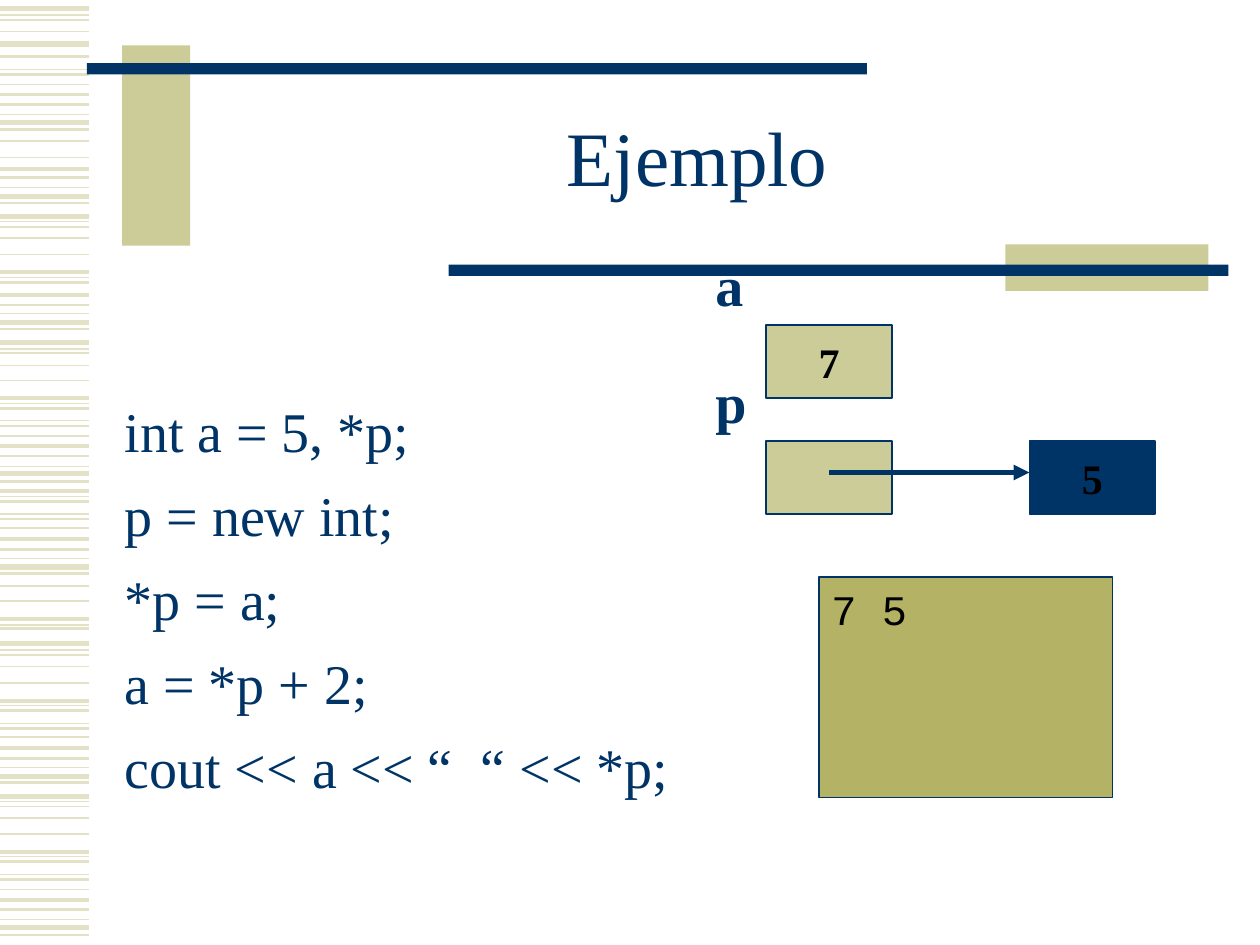
from pptx import Presentation, util as u
from pptx.dml.color import RGBColor
from pptx.enum import shapes, text as t
from pptx.oxml.ns import qn
from lxml import etree

NAVY, SAND, OLIVE, STRIPE, BLACK = "003366", "CCCC99", "B4B264", "E3E2C7", "000000"
SERIF, MONO = "Times New Roman", "Courier New"

STRIPES = {
    0.75: [0.12, 0.55, 0.91, 1.49, 1.76, 2.2, 2.49, 2.77, 3.2, 3.34, 3.7, 3.94, 4.08,
           4.43, 4.96, 5.16, 5.6, 5.74, 6.09, 6.36, 6.8, 6.94, 7.3],
    1: [0.16, 0.25, 0.67, 1.12, 1.25, 1.8, 1.89, 2.02, 2.8, 2.9, 3.02, 3.46, 4.19,
        4.65, 4.77, 5.2, 5.29, 5.42, 5.85, 6.4, 6.49, 6.62, 7.06],
    1.5: [0.45, 0.59, 0.83, 1.03, 1.41, 1.61, 2.24, 2.42, 2.61, 3.24, 3.38, 3.62, 3.82,
          3.98, 4.12, 4.36, 4.55, 4.99, 5.64, 5.78, 6.02, 6.21, 6.84, 6.98, 7.22, 7.42],
    2.25: [0.75, 1.34, 2.16, 2.34, 3.16, 3.54, 3.9, 4.28, 4.91, 5.56, 5.94, 6.76, 7.14],
    3: [0.07, 0.35, 0.97, 1.56, 1.72, 2.56, 2.72, 3.76, 4.5, 5.11, 6.16, 6.32, 7.36],
}
CODE = ["int a = 5, *p;", "p = new int;", "*p = a;", "a = *p + 2;",
        "cout << a << “  “ << *p;"]


def color(value):
    return RGBColor.from_string(value)


def add_rect(s, x, y, w, h, fill, line=None):
    sp = s.shapes.add_shape(shapes.MSO_SHAPE.RECTANGLE, *map(u.Inches, (x, y, w, h)))
    sp.shadow.inherit = False
    sp.fill.solid()
    sp.fill.fore_color.rgb = color(fill)
    if line:
        sp.line.color.rgb = color(line)
        sp.line.width = u.Pt(1)
    else:
        sp.line.fill.background()
    return sp


def add_line(s, x1, y1, x2, y2, line, width, arrow=False):
    c = s.shapes.add_connector(shapes.MSO_CONNECTOR.STRAIGHT,
                               *map(u.Inches, (x1, y1, x2, y2)))
    c.line.color.rgb = color(line)
    c.line.width = u.Pt(width)
    if arrow:
        etree.SubElement(c.line._get_or_add_ln(), qn("a:tailEnd"), type="triangle")
    etree.SubElement(c._element.spPr, qn("a:effectLst"))


def write(sp, lines, size=32, font=SERIF, fill=NAVY, bold=False, wrap=False,
          align=t.PP_ALIGN.LEFT, anchor=t.MSO_ANCHOR.TOP, spacing=None, before=0):
    tf = sp.text_frame
    tf.word_wrap = wrap
    tf.vertical_anchor = anchor
    for i, line in enumerate(lines):
        p = tf.paragraphs[0] if i == 0 else tf.add_paragraph()
        p.alignment = align
        if spacing:
            p.line_spacing = spacing
        if i and before:
            p.space_before = u.Pt(before)
        r = p.add_run()
        r.text = line
        r.font.name = font
        r.font.size = u.Pt(size)
        r.font.bold = bold
        r.font.color.rgb = color(fill)


def add_text(s, x, y, w, h, lines, **fmt):
    write(s.shapes.add_textbox(*map(u.Inches, (x, y, w, h))), lines, **fmt)


def stripes(s, x, y, w):
    for width, tops in STRIPES.items():
        for top in tops:
            add_line(s, x, y + top, x + w, y + top, STRIPE, width)


def header(s, x, y, w, h):
    bar_w, bar_h = 6.19, 0.09
    add_rect(s, x + 0.28, y, 0.54, 1.59, SAND)
    add_rect(s, x, y + 0.14, bar_w, bar_h, NAVY)
    add_rect(s, x + w - 1.77, y + h - 0.37, 1.61, 0.37, SAND)
    add_rect(s, x + w - bar_w, y + h - 0.21, bar_w, bar_h, NAVY)
    add_text(s, x + 0.81, y + 0.31, 8.07, 1.25, ["Ejemplo"], size=44, wrap=True,
             align=t.PP_ALIGN.CENTER, anchor=t.MSO_ANCHOR.MIDDLE, spacing=0.85)


def code(s, x, y, w, h):
    add_text(s, x, y, w, h, CODE, wrap=True, before=9.6)


def memory(s, x, y):
    row, cell_w, cell_h = 0.92, 1, 0.58
    cells = [(0.5, 0, SAND, "7"), (0.5, 1, SAND, ""), (2.59, 1, NAVY, "5")]
    for dx, n, fill, value in cells:
        sp = add_rect(s, x + dx, y + 0.64 + n * row, cell_w, cell_h, fill, NAVY)
        if value:
            write(sp, [value], size=24, fill=BLACK, bold=True,
                  align=t.PP_ALIGN.CENTER, anchor=t.MSO_ANCHOR.MIDDLE)
    for n, name in enumerate("ap"):
        add_text(s, x, y + n * (row + 0.01), 0.45, 0.64, [name], bold=True)
    add_line(s, x + 1, y + 1.81, x + 2.59, y + 1.81, NAVY, 3, arrow=True)


def console(s, x, y, w, h):
    write(add_rect(s, x, y, w, h, OLIVE, NAVY), ["7 5"], size=24, font=MONO, fill=BLACK)


def main():
    prs = Presentation()
    prs.slide_width, prs.slide_height = u.Inches(10), u.Inches(7.5)
    s = prs.slides.add_slide(prs.slide_layouts[6])
    stripes(s, 0, 0, 0.71)
    header(s, 0.69, 0.36, 9.06, 1.95)
    code(s, 0.89, 3.1, 8.7, 3.56)
    memory(s, 5.58, 1.94)
    console(s, 6.5, 4.58, 2.33, 1.75)
    prs.save("out.pptx")


if __name__ == "__main__":
    main()
